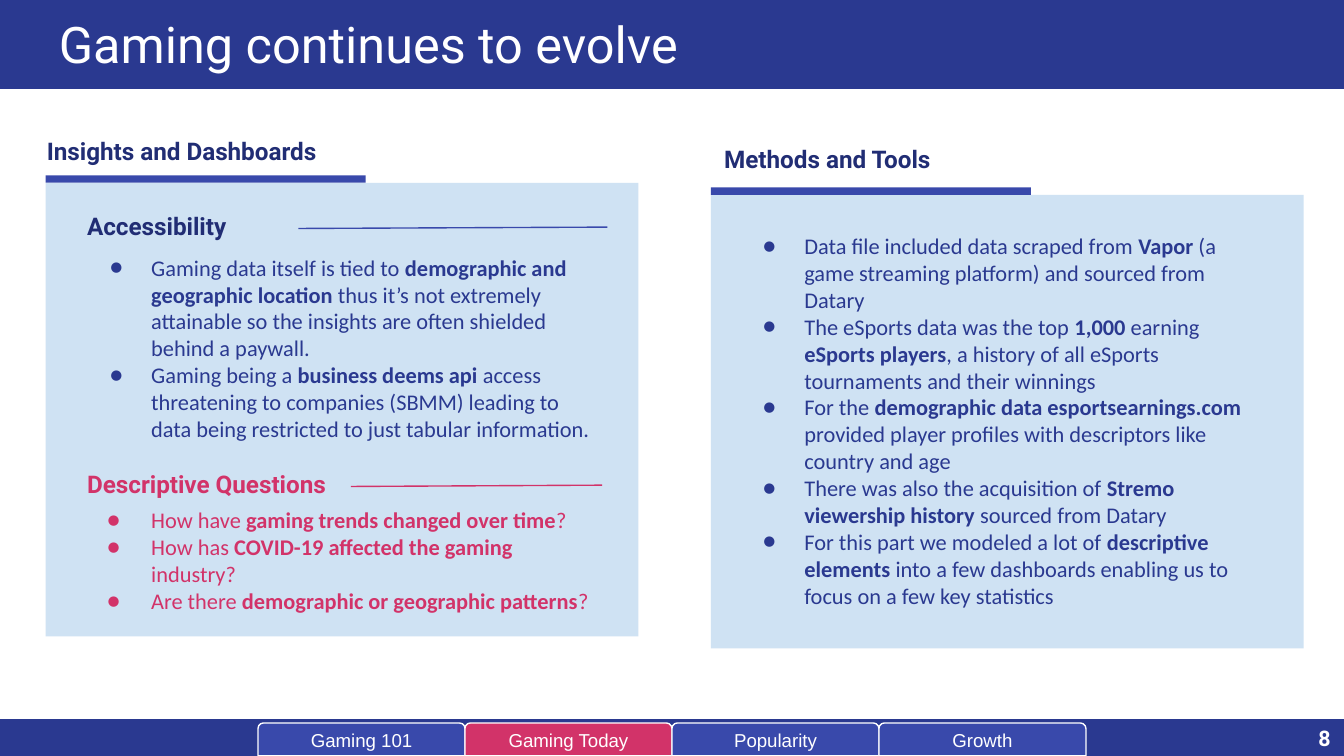
import dataclasses

import lxml.etree
import pptx
import pptx.dml.color
import pptx.enum.shapes
import pptx.enum.text
import pptx.oxml.ns
import pptx.util

# The page is a grid of 100 columns by 56.25 rows, each a tenth of an inch.
COLUMNS, ROWS = 100, 56.25
ALIGN = pptx.enum.text.PP_ALIGN
ANCHOR = pptx.enum.text.MSO_ANCHOR
SHAPE = pptx.enum.shapes.MSO_SHAPE


@dataclasses.dataclass(frozen=True)
class Theme:
    navy: str = "2A3990"
    indigo: str = "3949AB"
    ink: str = "212D74"
    pink: str = "D23369"
    pale: str = "CFE2F3"
    white: str = "FFFFFF"
    head_font: str = "Roboto"
    body_font: str = "Calibri"
    tab_font: str = "Arial"
    title_size: float = 27
    heading_size: float = 13
    body_size: float = 12
    number_size: float = 11.5
    tab_size: float = 10
    line_width: float = 0.75


THEME = Theme()

ACCESS = [
    "Gaming data itself is tied to **demographic and geographic location **thus it’s not "
    "extremely attainable so the insights are often shielded behind a paywall.",
    "Gaming being a **business deems api** access threatening to companies (SBMM) leading "
    "to data being restricted to just tabular information.",
]
QUESTIONS = [
    "How have **gaming trends changed over time**?",
    "How has **COVID-19 affected the gaming **industry?",
    "Are there **demographic or geographic patterns**?",
]
METHODS = [
    "Data file included data scraped from **Vapor** (a game streaming platform) and "
    "sourced from Datary",
    "The eSports data was the top **1,000** earning **eSports players**, a history of all "
    "eSports tournaments and their winnings",
    "For the **demographic data esportsearnings.com** provided player profiles with "
    "descriptors like country and age",
    "There was also the acquisition of **Stremo viewership history** sourced from Datary",
    "For this part we modeled a lot of **descriptive elements **into a few dashboards "
    "enabling us to focus on a few key statistics",
]
TABS = ["Gaming 101", "Gaming Today", "Popularity", "Growth"]
CURRENT_TAB = "Gaming Today"


def grid(*cells):
    return [pptx.util.Inches(cell / 10) for cell in cells]


def rgb(color):
    return pptx.dml.color.RGBColor.from_string(color)


def add_block(page, cells, fill, kind=SHAPE.RECTANGLE, outline=None):
    block = page.shapes.add_shape(kind, *grid(*cells))
    block.shadow.inherit = False
    block.fill.solid()
    block.fill.fore_color.rgb = rgb(fill)
    if outline:
        block.line.color.rgb = rgb(outline)
        block.line.width = pptx.util.Pt(THEME.line_width)
    else:
        block.line.fill.background()
    return block


def set_frame(box, across, down, anchor=ANCHOR.TOP):
    """Give the box its insets, in grid cells, and return its text frame."""
    frame = box.text_frame
    frame.word_wrap = True
    frame.vertical_anchor = anchor
    frame.margin_left, frame.margin_right = grid(across, across)
    frame.margin_top, frame.margin_bottom = grid(down, down)
    return frame


def add_span(para, text, font, size, color, bold=False):
    span = para.add_run()
    span.text = text
    span.font.name = font
    span.font.size = pptx.util.Pt(size)
    span.font.color.rgb = rgb(color)
    span.font.bold = bold


def add_label(page, cells, text, size, color, bold=True, align=ALIGN.LEFT, anchor=ANCHOR.TOP):
    box = page.shapes.add_textbox(*grid(*cells))
    para = set_frame(box, 1, 1, anchor).paragraphs[0]
    para.alignment = align
    add_span(para, text, THEME.head_font, size, color, bold)
    return para


def add_heading(page, left, top, width, text, color=THEME.ink):
    add_label(page, (left, top, width, 4.2), text, THEME.heading_size, color)


def set_bullet(para, margin, color):
    props = para._p.get_or_add_pPr()
    props.set("marL", str(grid(margin)[0]))
    props.set("indent", str(grid(-3.3)[0]))
    tag = pptx.oxml.ns.qn
    holder = lxml.etree.SubElement(props, tag("a:buClr"))
    lxml.etree.SubElement(holder, tag("a:srgbClr"), val=color)
    lxml.etree.SubElement(props, tag("a:buFont"), typeface=THEME.body_font)
    lxml.etree.SubElement(props, tag("a:buChar"), char="●")


def add_bullets(page, cells, items, color=THEME.navy, margin=3.1):
    """Write one bullet per item; text between double asterisks is bold."""
    frame = set_frame(page.shapes.add_textbox(*grid(*cells)), 0.75, 0.38)
    for index, item in enumerate(items):
        para = frame.add_paragraph() if index else frame.paragraphs[0]
        set_bullet(para, margin, color)
        for part, text in enumerate(item.split("**")):
            add_span(para, text, THEME.body_font, THEME.body_size, color, part % 2 == 1)


def add_rule(page, start, end, color):
    rule = page.shapes.add_connector(
        pptx.enum.shapes.MSO_CONNECTOR.STRAIGHT, *grid(*start, *end))
    rule.line.color.rgb = rgb(color)
    rule.line.width = pptx.util.Pt(THEME.line_width)
    props = rule._element.spPr
    lxml.etree.SubElement(props, pptx.oxml.ns.qn("a:effectLst"))


def add_panel(page, left, top):
    add_block(page, (left, top, 44.1, 33.75), THEME.pale)
    add_block(page, (left, top - 0.55, 23.8, 0.55), THEME.indigo)


def add_footer(page):
    top, width = 53.5, 15.4
    add_block(page, (0, top, COLUMNS, ROWS - top), THEME.navy)
    first = (COLUMNS - width * len(TABS)) / 2
    for index, name in enumerate(TABS):
        fill = THEME.pink if name == CURRENT_TAB else THEME.indigo
        tab = add_block(page, (first + index * width, top + 0.3, width, ROWS - top - 0.3),
                        fill, SHAPE.ROUND_2_SAME_RECTANGLE, THEME.white)
        para = set_frame(tab, 1, 1, ANCHOR.MIDDLE).paragraphs[0]
        para.alignment = ALIGN.CENTER
        add_span(para, name, THEME.tab_font, THEME.tab_size, THEME.white)
    number = add_label(page, (94, top + 0.2, 6, ROWS - top), "8", THEME.number_size,
                       THEME.white, align=ALIGN.RIGHT, anchor=ANCHOR.MIDDLE)
    number.line_spacing = 0.8


def add_title(page, text):
    add_block(page, (0, 0, COLUMNS, 6.63), THEME.navy)
    add_label(page, (3.4, 0, 93.2, 6.63), text, THEME.title_size, THEME.white, bold=False)


def main():
    deck = pptx.Presentation()
    deck.slide_width, deck.slide_height = grid(COLUMNS, ROWS)
    page = deck.slides.add_slide(deck.slide_layouts[6])

    add_footer(page)
    add_title(page, "Gaming continues to evolve")

    add_panel(page, 3.4, 13.6)
    add_heading(page, 2.5, 9.1, 44.1, "Insights and Dashboards")
    add_heading(page, 5.5, 14.7, 30.6, "Accessibility")
    add_rule(page, (22.2, 17), (45.2, 16.9), THEME.indigo)
    add_bullets(page, (7.4, 18.5, 37.8, 15.2), ACCESS)
    add_heading(page, 5.5, 33.9, 30.6, "Descriptive Questions", THEME.pink)
    add_rule(page, (26.1, 36.2), (44.8, 36.1), THEME.pink)
    add_bullets(page, (5.5, 37.3, 39.7, 8.8), QUESTIONS, THEME.pink, margin=5)

    add_panel(page, 52.9, 14.5)
    add_heading(page, 52.9, 9.7, 44.1, "Methods and Tools")
    add_bullets(page, (56, 16.9, 37.8, 29.4), METHODS)

    deck.save("out.pptx")


if __name__ == "__main__":
    main()
